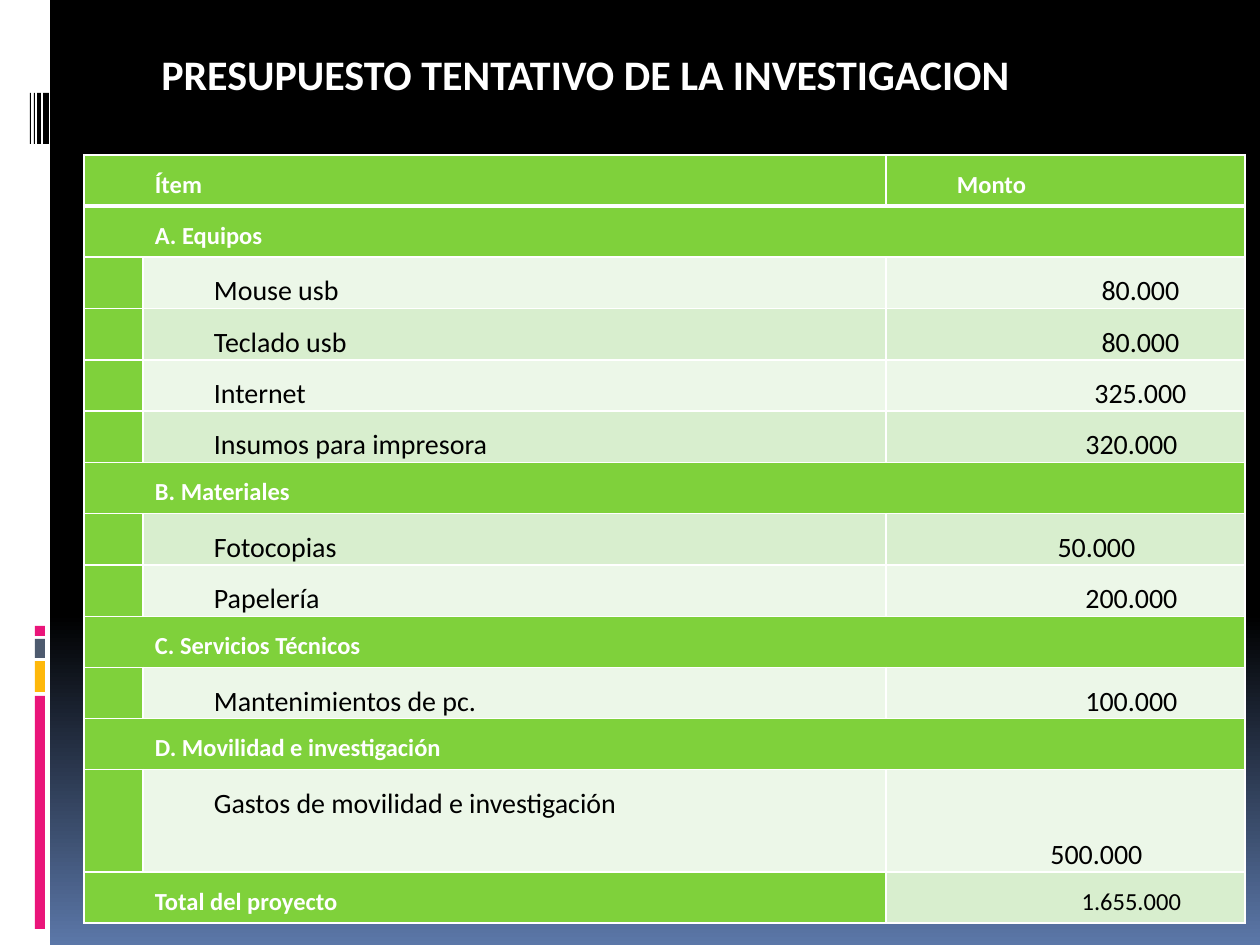
from lxml import etree
from pptx import Presentation
from pptx.dml.color import RGBColor
from pptx.enum.shapes import MSO_SHAPE
from pptx.enum.text import MSO_ANCHOR, PP_ALIGN
from pptx.oxml.ns import qn
from pptx.util import Pt

RECT = MSO_SHAPE.RECTANGLE
LEFT, CENTER = PP_ALIGN.LEFT, PP_ALIGN.CENTER
TOP = MSO_ANCHOR.TOP
TITLE_ONLY = 5
EMU_PER_PX = 914400 / 126
COLORS = {
    "white": "FFFFFF", "black": "000000", "blue": "5B77A8", "pink": "EA157A",
    "amber": "FEB80A", "slate": "4E5B6F", "green": "7FD13B",
    "light": "ECF7E8", "mid": "D8EECE",
}

SIDE_BARS = [
    (0, 0, 50, 945, "white"),
    (35, 696, 10, 233, "pink"),
    (35, 661, 10, 31, "amber"),
    (35, 639, 10, 19, "slate"),
    (35, 626, 10, 10, "pink"),
    (43, 93, 6, 51, "black"),
    (37, 93, 4, 51, "black"),
    (34, 93, 1, 51, "black"),
    (30, 93, 1, 51, "black"),
]

COLS = [59, 743, 359]
ROW = 51
INDENT, MID_INDENT, FAR_INDENT = 62, 132, 150

# A heading is a string; an item is (name, amount, amount indent, band, row units).
BUDGET = [
    "A. Equipos",
    ("Mouse usb", "80.000", FAR_INDENT, "light", 1),
    ("Teclado usb", "80.000", FAR_INDENT, "mid", 1),
    ("Internet", "325.000", FAR_INDENT, "light", 1),
    ("Insumos para impresora", "320.000", MID_INDENT, "mid", 1),
    "B. Materiales",
    ("Fotocopias", "50.000", INDENT, "mid", 1),
    ("Papelería", "200.000", MID_INDENT, "light", 1),
    "C. Servicios Técnicos",
    ("Mantenimientos de pc.", "100.000", MID_INDENT, "light", 1),
    "D. Movilidad e investigación",
    ("Gastos de movilidad e investigación", "500.000", INDENT, "light", 2),
]


def px(n):
    return round(n * EMU_PER_PX)


def rgb(name):
    return RGBColor.from_string(COLORS[name])


class Deck:
    def __init__(self, width, height, font="Calibri"):
        self.prs = Presentation()
        self.prs.slide_width, self.prs.slide_height = px(width), px(height)
        self.font = font
        self.s = self.prs.slides.add_slide(self.prs.slide_layouts[TITLE_ONLY])

    def background(self, start, end, hold):
        """Vertical gradient that keeps its first colour down to hold."""
        fill = self.s.background.fill
        fill.gradient()
        fill.gradient_angle = 270
        for stop, color, pos in zip(fill.gradient_stops, (start, end), (hold, 1)):
            stop.color.rgb, stop.position = rgb(color), pos

    def format(self, p, size, color, bold, align):
        p.alignment = align
        for r in p.runs:
            r.font.name, r.font.size, r.font.bold = self.font, Pt(size), bold
            r.font.color.rgb = rgb(color)

    def title(self, x, y, w, h, text, size):
        sp = self.s.shapes.title
        sp.left, sp.top, sp.width, sp.height = map(px, (x, y, w, h))
        tf = sp.text_frame
        tf.text, tf.vertical_anchor, tf.word_wrap = text, TOP, True
        self.format(tf.paragraphs[0], size, "white", True, CENTER)

    def bar(self, x, y, w, h, color):
        sp = self.s.shapes.add_shape(RECT, *map(px, (x, y, w, h)))
        sp.shadow.inherit = False
        sp.fill.solid()
        sp.fill.fore_color.rgb = rgb(color)
        sp.line.fill.background()

    def table(self, x, y, cols, rows):
        """Add a table with white borders, thick under the first row."""
        frame = self.s.shapes.add_table(len(rows), len(cols), px(x), px(y),
                                        px(sum(cols)), px(sum(rows)))
        tbl = frame.table
        for col, w in zip(tbl.columns, cols):
            col.width = px(w)
        for i, (row, h) in enumerate(zip(tbl.rows, rows)):
            row.height = px(h)
            for cell in row.cells:
                self.borders(cell, {"L": 1, "R": 1, "T": 3 if i == 1 else 1,
                                    "B": 3 if i == 0 else 1})
                self.fill(cell, "green")
                cell.margin_left = cell.margin_right = px(9)
                cell.margin_top = cell.margin_bottom = 0
        return tbl

    def borders(self, cell, widths):
        tcPr = cell._tc.get_or_add_tcPr()
        for side, width in widths.items():
            ln = etree.SubElement(tcPr, qn(f"a:ln{side}"), w=str(Pt(width)))
            solid = etree.SubElement(ln, qn("a:solidFill"))
            etree.SubElement(solid, qn("a:srgbClr"), val=COLORS["white"])

    def fill(self, cell, color):
        cell.fill.solid()
        cell.fill.fore_color.rgb = rgb(color)

    def cell_text(self, cell, text, size=14, color="white", bold=True,
                  align=LEFT, indent=INDENT):
        cell.text = text
        p = cell.text_frame.paragraphs[0]
        p.line_spacing = 1.5
        p._p.get_or_add_pPr().set("indent", str(px(indent)))
        self.format(p, size, color, bold, align)


def budget_table(deck):
    units = [1] + [1 if isinstance(e, str) else e[-1] for e in BUDGET] + [1]
    tbl = deck.table(84, 155, COLS, [ROW * n for n in units])
    last = len(units) - 1

    def heading(row, text, end):
        tbl.cell(row, 0).merge(tbl.cell(row, end))
        deck.cell_text(tbl.cell(row, 0), text)

    def amount(row, text, size, indent, band):
        cell = tbl.cell(row, 2)
        deck.fill(cell, band)
        cell.margin_top = px(ROW * (units[row] - 1))
        deck.cell_text(cell, text, size, "black", False, CENTER, indent)

    heading(0, "Ítem", 1)
    deck.cell_text(tbl.cell(0, 2), "Monto")
    for i, entry in enumerate(BUDGET, 1):
        if isinstance(entry, str):
            heading(i, entry, 2)
            continue
        name, value, indent, band, _ = entry
        deck.fill(tbl.cell(i, 1), band)
        deck.cell_text(tbl.cell(i, 1), name, 16, "black", False)
        amount(i, value, 16, indent, band)
    heading(last, "Total del proyecto", 1)
    amount(last, "1.655.000", 14, MID_INDENT, "mid")


def main():
    deck = Deck(1260, 945)
    deck.background("black", "blue", 0.65)
    for bar in SIDE_BARS:
        deck.bar(*bar)
    budget_table(deck)
    deck.title(134, 42, 903, 115, "PRESUPUESTO TENTATIVO DE LA INVESTIGACION", 24)
    deck.prs.save("out.pptx")


if __name__ == "__main__":
    main()
